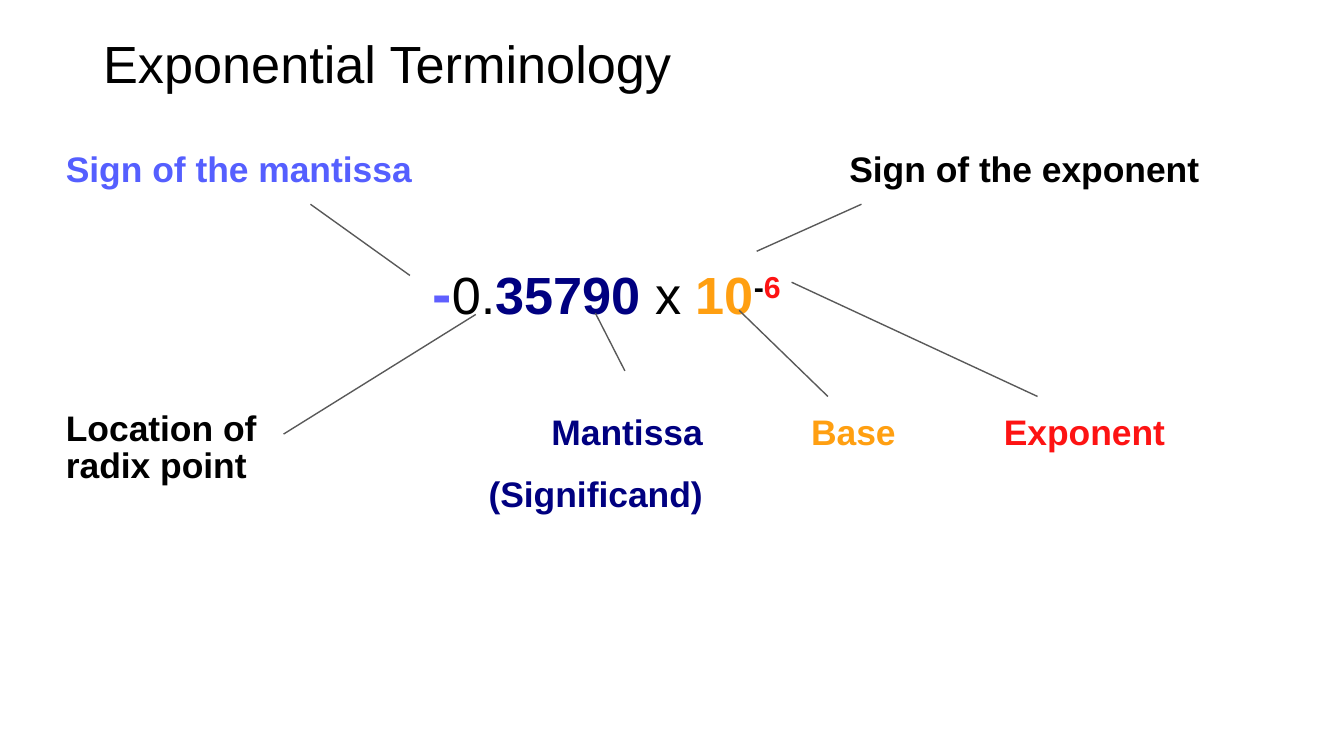
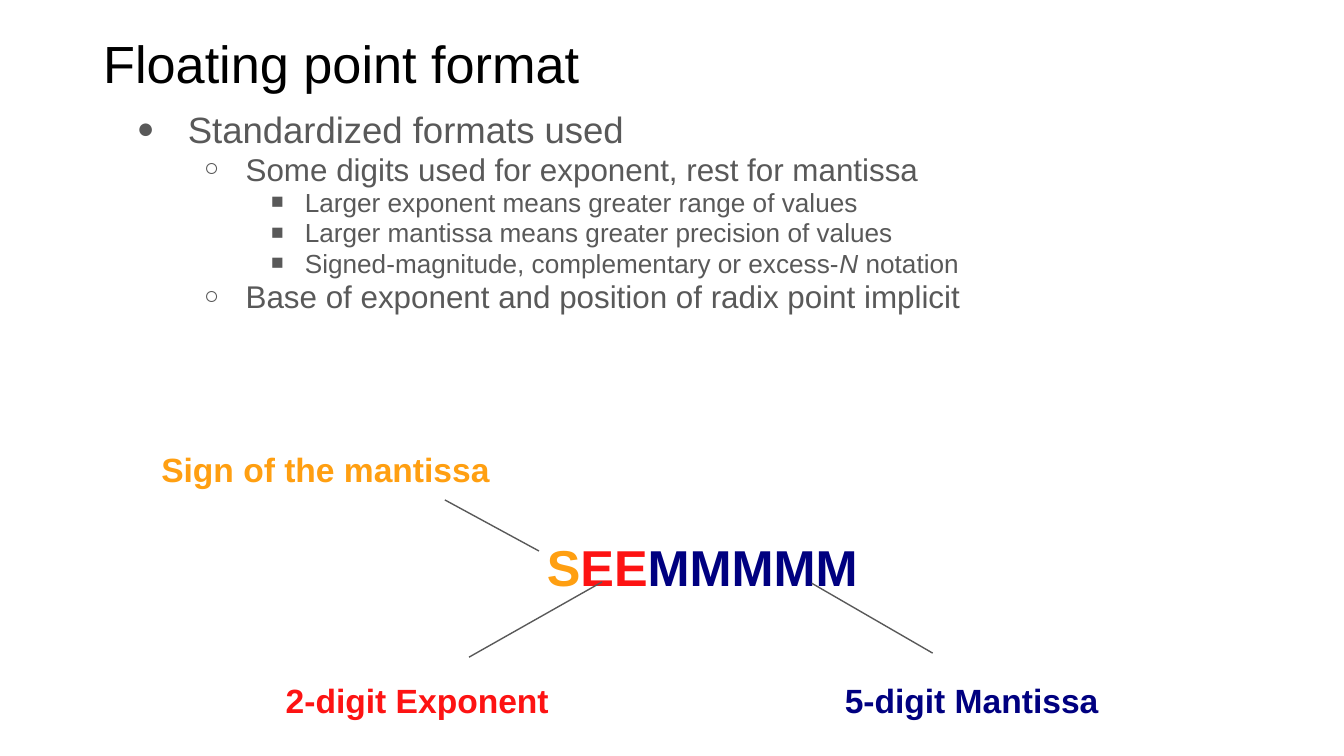
from dataclasses import dataclass
from lxml import etree
from pptx import Presentation
from pptx import util as u
from pptx.dml import color
from pptx.enum import shapes, text
from pptx.oxml import ns

FONT = "Arial"
BLACK, GREY = "000000", "595959"
NAVY, ORANGE, RED = "000080", "FF9F11", "FD1313"
SIGN_LABEL, SIGN_DIGIT = "555FFF", "5F5FFF"
LEFT, CENTER, RIGHT = text.PP_ALIGN.LEFT, text.PP_ALIGN.CENTER, text.PP_ALIGN.RIGHT
NO_TABLE_STYLE = "{2D5ABB26-0587-4C30-8999-92F81FD0307C}"
SLIDE_WIDTH = 10
SLIDE_HEIGHT = SLIDE_WIDTH * 9 / 16
TITLE_BOX = (0.67, 0.19, 9, 0.56)


@dataclass
class Run:
    text: str
    color: str
    size: float = 28
    bold: bool = True
    raised: bool = False


@dataclass
class Entry:
    """One filled table cell, spanning one or more columns."""
    row: int
    column: int
    runs: list
    span: int = 1
    align: int = LEFT
    spacing: float = 1.0
    left: float = 0.1
    top: float = 0.04


def rgb(value):
    return color.RGBColor.from_string(value)


def style(font, size, hex_color, bold=False):
    font.name, font.size, font.bold = FONT, u.Pt(size), bold
    font.color.rgb = rgb(hex_color)


def add_text_frame(slide, box):
    shape = slide.shapes.add_textbox(*(u.Inches(value) for value in box))
    shape.text_frame.word_wrap = True
    return shape.text_frame


def add_title(slide, title):
    frame = add_text_frame(slide, TITLE_BOX)
    frame.vertical_anchor = text.MSO_ANCHOR.BOTTOM
    paragraph = frame.paragraphs[0]
    paragraph.text = title
    style(paragraph.font, 28, BLACK)


def set_bullet(paragraph, bullet, indent, hanging):
    properties = paragraph._p.get_or_add_pPr()
    properties.set("marL", str(u.Inches(indent)))
    properties.set("indent", str(-u.Inches(hanging)))
    defaults = properties.find(ns.qn("a:defRPr"))
    for tag, name, value in (("a:buSzPct", "val", "80000"),
                             ("a:buFont", "typeface", FONT),
                             ("a:buChar", "char", bullet)):
        defaults.addprevious(etree.Element(ns.qn(tag), {name: value}))


def add_bullets(slide, box, items):
    # Per level: bullet, text indent, hanging indent, size, space before
    levels = [("●", 0.38, 0.38, 19.6, 0),
              ("○", 0.81, 0.31, 16.8, 3.4),
              ("■", 1.25, 0.25, 14, 2.8)]
    frame = add_text_frame(slide, box)
    for index, (level, pieces) in enumerate(items):
        bullet, indent, hanging, size, before = levels[level]
        paragraph = frame.add_paragraph() if index else frame.paragraphs[0]
        paragraph.level = level
        paragraph.line_spacing = 0.8
        paragraph.space_before = u.Pt(before)
        style(paragraph.font, size, GREY)
        for position, piece in enumerate(pieces):
            run = paragraph.add_run()
            run.text = piece
            if position % 2:  # every second piece is emphasised
                run.font.italic = True
        set_bullet(paragraph, bullet, indent, hanging)


def fill_cell(table, entry):
    cell = table.cell(entry.row, entry.column)
    if entry.span > 1:
        cell.merge(table.cell(entry.row, entry.column + entry.span - 1))
    cell.margin_left, cell.margin_top = u.Inches(entry.left), u.Inches(entry.top)
    cell.margin_right, cell.margin_bottom = u.Inches(0.1), u.Inches(0.04)
    paragraph = cell.text_frame.paragraphs[0]
    paragraph.alignment = entry.align
    paragraph.line_spacing = entry.spacing
    for part in entry.runs:
        run = paragraph.add_run()
        run.text = part.text
        style(run.font, part.size, part.color, part.bold)
        if part.raised:
            run._r.get_or_add_rPr().set("baseline", "30000")


def add_pointer(slide, left, top, ends):
    x1, y1, x2, y2 = ends
    line = slide.shapes.add_connector(
        shapes.MSO_CONNECTOR.STRAIGHT,
        u.Inches(left + x1), u.Inches(top + y1),
        u.Inches(left + x2), u.Inches(top + y2))
    line.line.color.rgb = rgb(GREY)
    line.line.width = u.Pt(0.75)
    etree.SubElement(line._element.spPr, ns.qn("a:effectLst"))


def add_diagram(slide, left, top, widths, heights, entries, pointers):
    """Label table with pointer lines, measured from its top left corner."""
    frame = slide.shapes.add_table(
        len(heights), len(widths), u.Inches(left), u.Inches(top),
        u.Inches(sum(widths)), u.Inches(sum(heights)))
    table = frame.table
    table.first_row = table.horz_banding = False
    table._tbl.tblPr.find(ns.qn("a:tableStyleId")).text = NO_TABLE_STYLE
    for column, width in zip(table.columns, widths):
        column.width = u.Inches(width)
    for row, height in zip(table.rows, heights):
        row.height = u.Inches(height)
    for cell in table.iter_cells():
        cell.fill.background()
    for entry in entries:
        fill_cell(table, entry)
    for ends in pointers:
        add_pointer(slide, left, top, ends)


def build_terminology(slide):
    add_title(slide, "Exponential Terminology")
    number = [Run("-", SIGN_DIGIT, 31), Run("0.", BLACK, bold=False),
              Run("35790", NAVY), Run(" x ", BLACK, bold=False),
              Run("10", ORANGE), Run("-", BLACK, raised=True),
              Run("6", RED, raised=True)]
    entries = [
        Entry(0, 0, [Run("Sign of the mantissa", SIGN_LABEL, 19)], span=2),
        Entry(0, 2, [Run("Sign of the exponent", BLACK, 19)], span=3, left=1.41),
        Entry(1, 1, number, span=3, spacing=1.35, left=0.57),
        Entry(2, 0, [Run("Location of radix point", BLACK, 19)],
              spacing=0.95, top=0.18),
        Entry(2, 1, [Run("Mantissa (Significand)", NAVY, 19)],
              span=2, align=RIGHT, spacing=1.55),
        Entry(2, 3, [Run("Base", ORANGE, 19)], align=CENTER, spacing=1.55),
        Entry(2, 4, [Run("Exponent", RED, 19)], spacing=1.55),
    ]
    pointers = [
        (6.02, 0.44, 5.24, 0.79),  # sign of the exponent
        (1.92, 0.44, 2.66, 0.97),  # sign of the mantissa
        (1.72, 2.15, 3.15, 1.26),  # radix point
        (4.26, 1.68, 4.04, 1.25),  # mantissa
        (5.77, 1.87, 5.11, 1.23),  # base
        (7.33, 1.87, 5.5, 1.02),   # exponent
    ]
    add_diagram(slide, 0.39, 1.08, [2.26, 2.26, 0.42, 2.04, 2.26],
                [0.66, 1.14, 1.56], entries, pointers)


def build_format(slide):
    add_title(slide, "Floating point format")
    add_bullets(slide, (0.92, 0.81, 8.5, 1.31), [
        (0, ["Standardized formats used"]),
        (1, ["Some digits used for exponent, rest for mantissa"]),
        (2, ["Larger exponent means greater range of values"]),
        (2, ["Larger mantissa means greater precision of values"]),
        (2, ["Signed-magnitude, complementary or excess-", "N", " notation"]),
        (1, ["Base of exponent and position of radix point implicit"]),
    ])
    digits = [Run("S", ORANGE, 27), Run("EE", RED, 27), Run("MMMMM", NAVY, 27)]
    entries = [
        Entry(0, 0, [Run("Sign of the mantissa", ORANGE, 18)], span=2),
        Entry(1, 0, digits, span=2, align=CENTER, spacing=1.35),
        Entry(2, 0, [Run("2-digit Exponent", RED, 18)], align=CENTER, spacing=1.55),
        Entry(2, 1, [Run("5-digit Mantissa", NAVY, 18)], align=CENTER, spacing=1.55),
    ]
    pointers = [
        (4.94, 1.02, 5.84, 1.54),  # mantissa
        (2.39, 1.57, 3.38, 1.01),  # exponent
        (2.21, 0.4, 2.91, 0.78),   # sign
    ]
    add_diagram(slide, 1.1, 3.32, [4.01, 4.24], [0.52, 1.05, 0.74],
                entries, pointers)


def main():
    presentation = Presentation()
    presentation.slide_width = u.Inches(SLIDE_WIDTH)
    presentation.slide_height = u.Inches(SLIDE_HEIGHT)
    blank = presentation.slide_layouts[6]
    for build in (build_terminology, build_format):
        build(presentation.slides.add_slide(blank))
    presentation.save("out.pptx")


if __name__ == "__main__":
    main()
